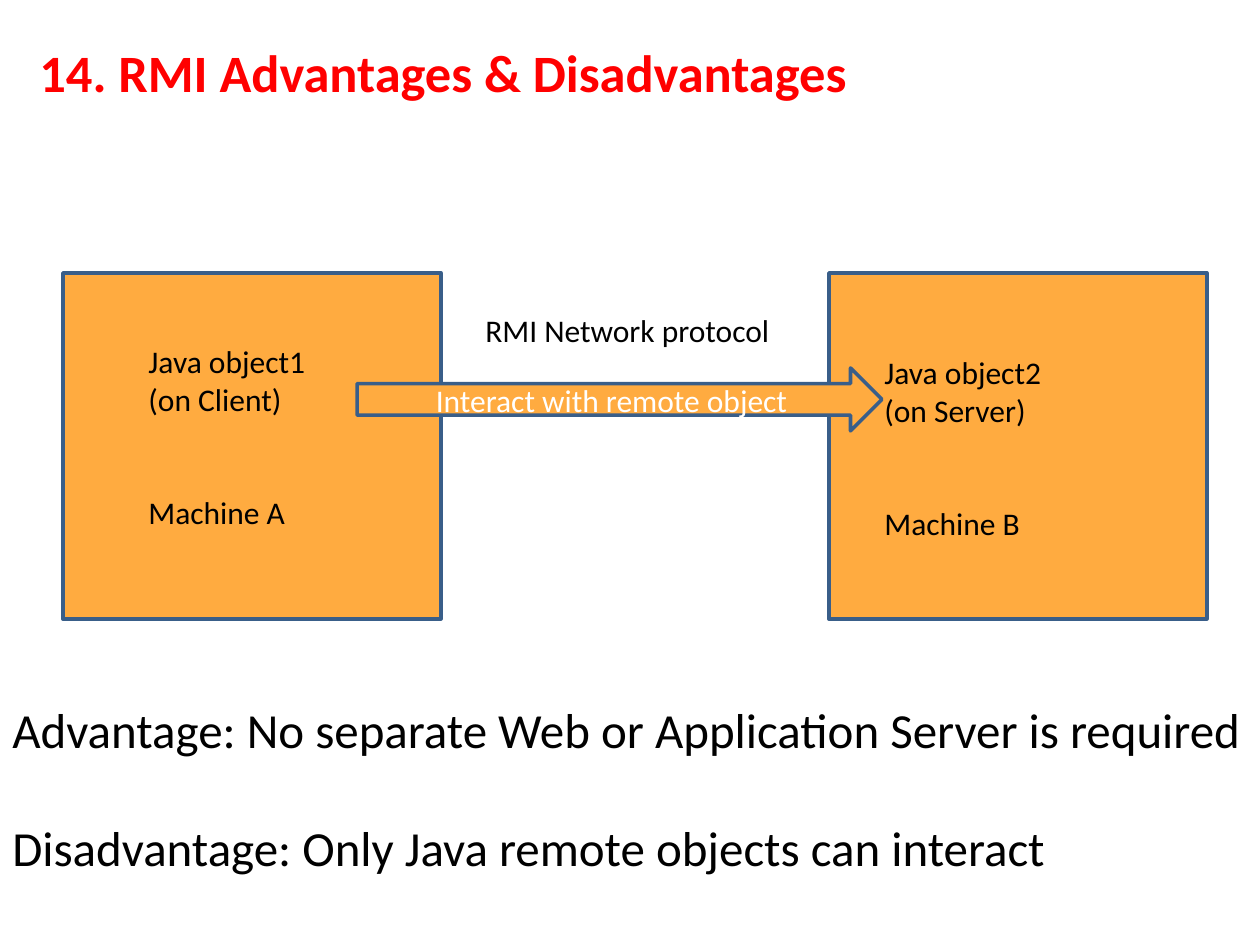
from dataclasses import dataclass

from pptx import Presentation
from pptx import util as u
from pptx.dml.color import RGBColor
from pptx.enum import shapes, text

PX = 914400 // 126  # EMU per pixel
ORANGE, BORDER = "FFAB40", "395E89"
BLACK, WHITE, RED = "000000", "FFFFFF", "FF0000"


@dataclass
class Box:
    left: int
    top: int
    width: int
    height: int

    def emu(self) -> list[int]:
        return [v * PX for v in (self.left, self.top, self.width, self.height)]


@dataclass
class Label:
    box: Box
    lines: list[str]
    size: int = 18
    color: str = BLACK
    bold: bool = False
    gap: int = 0  # points before the last line
    inset: float = 0.05  # inches above and below the text


def rgb(value: str) -> RGBColor:
    return RGBColor.from_string(value)


def write(frame, label: Label, align=text.PP_ALIGN.LEFT,
          anchor=text.MSO_ANCHOR.TOP) -> None:
    layout = {"word_wrap": True, "vertical_anchor": anchor,
              "margin_top": u.Inches(label.inset),
              "margin_bottom": u.Inches(label.inset)}
    for name, value in layout.items():
        setattr(frame, name, value)
    style = {"name": "Calibri", "size": u.Pt(label.size), "bold": label.bold}
    for index, line in enumerate(label.lines):
        paragraph = frame.paragraphs[0] if index == 0 else frame.add_paragraph()
        paragraph.alignment = align
        run = paragraph.add_run()
        run.text = line
        for name, value in style.items():
            setattr(run.font, name, value)
        run.font.color.rgb = rgb(label.color)
    if label.gap:
        paragraph.space_before = u.Pt(label.gap)


def add_label(slide, label: Label) -> None:
    write(slide.shapes.add_textbox(*label.box.emu()).text_frame, label)


def add_block(slide, kind, box: Box):
    block = slide.shapes.add_shape(kind, *box.emu())
    block.shadow.inherit = False
    block.fill.solid()
    block.fill.fore_color.rgb = rgb(ORANGE)
    block.line.color.rgb = rgb(BORDER)
    block.line.width = u.Pt(2)
    return block


deck = Presentation()
deck.slide_width, deck.slide_height = u.Inches(10), u.Inches(7.5)
slide = deck.slides.add_slide(deck.slide_layouts[6])

# Machines
for left in (63, 829):
    add_block(slide, shapes.MSO_SHAPE.RECTANGLE, Box(left, 273, 378, 346))

# Objects on the machines and the protocol between them
diagram_labels = [
    Label(Box(136, 336, 210, 204),
          ["Java object1", "(on Client)", "Machine A"], gap=43),
    Label(Box(872, 347, 210, 204),
          ["Java object2", "(on Server)", "Machine B"], gap=43),
    Label(Box(473, 305, 315, 53), ["RMI Network protocol"]),
]
for label in diagram_labels:
    add_label(slide, label)

# Remote call
call = Label(Box(357, 368, 525, 63), ["Interact with remote object"], color=WHITE)
arrow = add_block(slide, shapes.MSO_SHAPE.RIGHT_ARROW, call.box)
write(arrow.text_frame, call, text.PP_ALIGN.CENTER, text.MSO_ANCHOR.MIDDLE)

# Conclusions and title
add_label(slide, Label(
    Box(0, 693, 1260, 190),
    ["Advantage: No separate Web or Application Server is required",
     "Disadvantage: Only Java remote objects can interact"],
    size=28, gap=34))
add_label(slide, Label(
    Box(27, 27, 1042, 94), ["14. RMI Advantages & Disadvantages"],
    size=30, color=RED, bold=True, inset=0.1))

deck.save("out.pptx")
